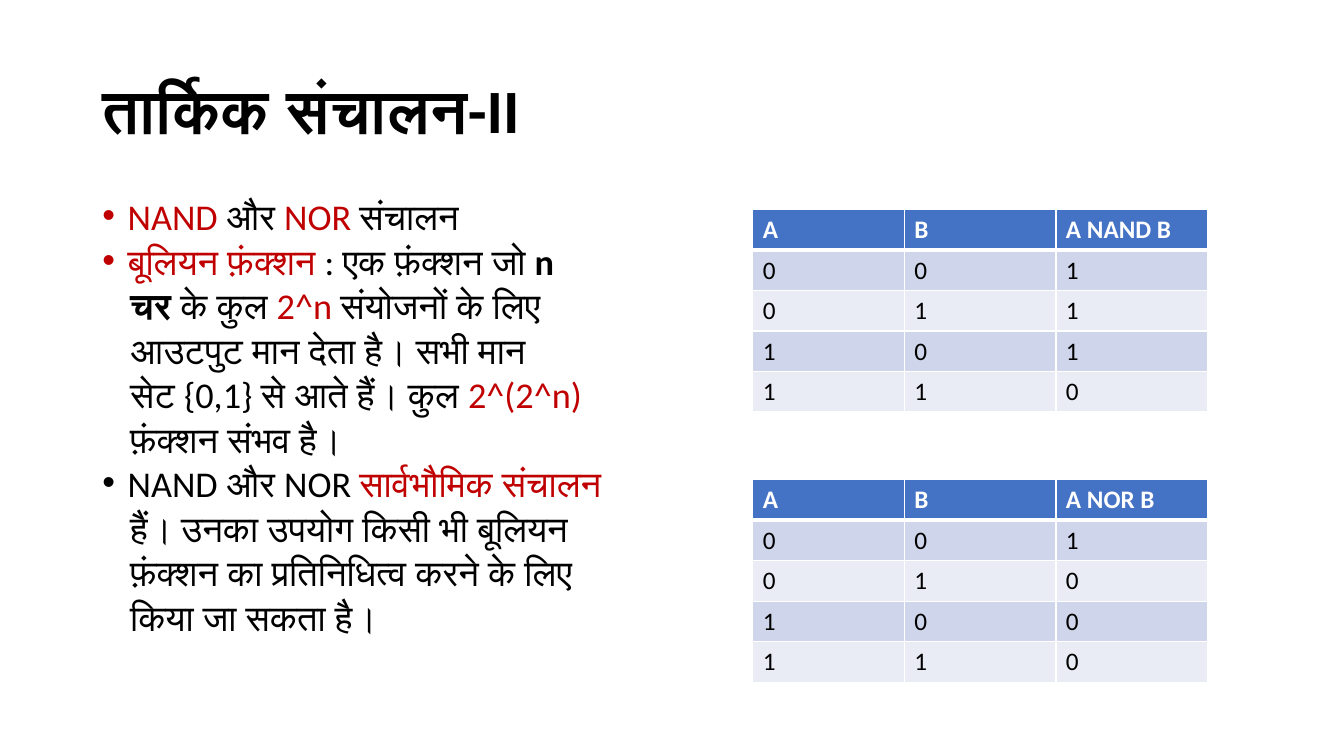
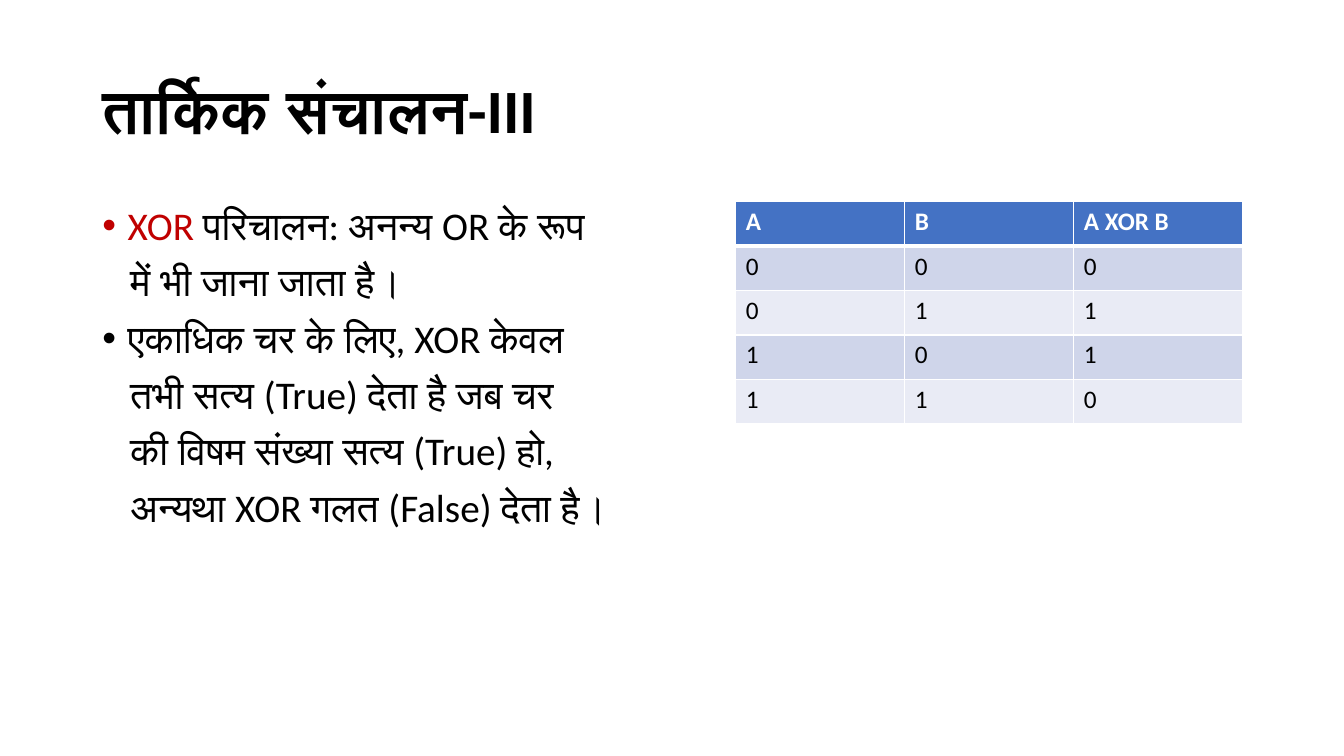
from itertools import product

from lxml import etree
from pptx import Presentation
from pptx.dml.color import RGBColor
from pptx.enum.text import MSO_ANCHOR
from pptx.oxml.ns import qn
from pptx.util import Cm, Pt

MIDDLE = MSO_ANCHOR.MIDDLE
TOP = MSO_ANCHOR.TOP

FONT = "Calibri"
BLACK, WHITE, RED = "000000", "FFFFFF", "C00000"
HEADER_BLUE = "4472C4"
BAND_FILLS = ("CFD5EA", "E9EBF5")
INPUTS = list(product("01", repeat=2))


def color(value):
    return RGBColor.from_string(value)


def red(text):
    return text, RED, False


def bold(text):
    return text, BLACK, True


def plain(text):
    return text, BLACK, False


def add_border(cell, side, width):
    line = etree.SubElement(cell._tc.get_or_add_tcPr(), qn(f"a:ln{side}"), w=str(Pt(width)))
    fill = etree.SubElement(line, qn("a:solidFill"))
    etree.SubElement(fill, qn("a:srgbClr"), val=WHITE)


def set_indent(paragraph, bulleted):
    """Hang a bullet, or align a continuation line under the bullet text."""
    properties = paragraph._p.get_or_add_pPr()
    properties.set("marL", str(Cm(0.64 if bulleted else 0.7)))
    properties.set("indent", str(Cm(-0.64 if bulleted else 0)))
    if bulleted:
        etree.SubElement(properties, qn("a:buFont"), typeface="Arial")
        etree.SubElement(properties, qn("a:buChar"), char="•")


class Deck:
    """Shared style of the slides, and the slide being filled."""

    left, width = Cm(2.33), Cm(29.21)

    def __init__(self):
        self.presentation = Presentation()
        self.presentation.slide_width = Cm(33.87)
        self.presentation.slide_height = Cm(19.05)
        self.slide = None

    def add_slide(self, title):
        layout = self.presentation.slide_layouts[6]
        self.slide = self.presentation.slides.add_slide(layout)
        text_frame = self.add_text_box(Cm(1.01), Cm(3.68), MIDDLE)
        text_frame.text = title
        paragraph = text_frame.paragraphs[0]
        paragraph.line_spacing = 0.9
        self.format_run(paragraph.runs[0], 44, BLACK, True)

    def add_text_box(self, top, height, anchor):
        shape = self.slide.shapes.add_textbox(self.left, top, self.width, height)
        shape.text_frame.word_wrap = True
        shape.text_frame.vertical_anchor = anchor
        return shape.text_frame

    def format_run(self, run, size, text_color, is_bold):
        run.font.name = FONT
        run.font.size = Pt(size)
        run.font.bold = is_bold
        run.font.color.rgb = color(text_color)

    def add_points(self, points, size, line_spacing):
        """Write points, each a list of lines made of styled pieces."""
        text_frame = self.add_text_box(Cm(5.08), Cm(12.09), TOP)
        lines = [(index == 0, line) for point in points for index, line in enumerate(point)]
        for number, (bulleted, pieces) in enumerate(lines):
            paragraph = text_frame.add_paragraph() if number else text_frame.paragraphs[0]
            set_indent(paragraph, bulleted)
            paragraph.line_spacing = line_spacing
            paragraph.space_before = Pt(10 if number else 0)
            for text, text_color, is_bold in pieces:
                run = paragraph.add_run()
                run.text = text
                self.format_run(run, size, text_color, is_bold)

    def add_truth_table(self, operator, outputs, left, top, column_width, row_height):
        rows = [("A", "B", f"A {operator} B")]
        rows += [(*inputs, output) for inputs, output in zip(INPUTS, outputs)]
        table = self.slide.shapes.add_table(
            len(rows), 3, Cm(left), Cm(top), Cm(3 * column_width), Cm(row_height * len(rows))
        ).table
        for column in table.columns:
            column.width = Cm(column_width)
        for row_index, values in enumerate(rows):
            table.rows[row_index].height = Cm(row_height)
            for column_index, value in enumerate(values):
                self.fill_cell(table.cell(row_index, column_index), value, row_index)

    def fill_cell(self, cell, value, row_index):
        is_header = row_index == 0
        add_border(cell, "L", 1)
        add_border(cell, "R", 1)
        add_border(cell, "T", 3 if row_index == 1 else 1)
        add_border(cell, "B", 3 if is_header else 1)
        cell.fill.solid()
        cell.fill.fore_color.rgb = color(HEADER_BLUE if is_header else BAND_FILLS[(row_index - 1) % 2])
        cell.text_frame.text = value
        run = cell.text_frame.paragraphs[0].runs[0]
        self.format_run(run, 18, WHITE if is_header else BLACK, is_header)


def add_nand_nor_slide(deck):
    deck.add_slide("तार्किक संचालन-II")
    deck.add_points([
        [[red("NAND "), plain("और "), red("NOR "), plain("संचालन")]],
        [
            [red("बूलियन फ़ंक्शन "), plain(": एक फ़ंक्शन जो "), bold("n")],
            [bold("चर"), plain(" के कुल "), red("2^n "), plain("संयोजनों के लिए")],
            [plain("आउटपुट मान देता है। सभी मान")],
            [plain("सेट {0,1} से आते हैं। कुल "), red("2^(2^n)")],
            [plain("फ़ंक्शन संभव है।")],
        ],
        [
            [plain("NAND और NOR "), red("सार्वभौमिक संचालन")],
            [plain("हैं। उनका उपयोग किसी भी बूलियन")],
            [plain("फ़ंक्शन का प्रतिनिधित्व करने के लिए")],
            [plain("किया जा सकता है।")],
        ],
    ], size=25.9, line_spacing=0.7)
    for operator, outputs, top in (("NAND", "1110", 5.28), ("NOR", "1000", 12.09)):
        deck.add_truth_table(operator, outputs, 18.97, top, column_width=3.82, row_height=1.02)


def add_xor_slide(deck):
    deck.add_slide("तार्किक संचालन-III")
    deck.add_points([
        [
            [red("XOR "), plain("परिचालन: अनन्य OR के रूप")],
            [plain("में भी जाना जाता है।")],
        ],
        [
            [plain("एकाधिक चर के लिए, XOR केवल")],
            [plain("तभी सत्य (True) देता है जब चर")],
            [plain("की विषम संख्या सत्य (True) हो,")],
            [plain("अन्यथा XOR गलत (False) देता है।")],
        ],
    ], size=28, line_spacing=0.9)
    deck.add_truth_table("XOR", "0110", 18.54, 5.08, column_width=4.26, row_height=1.12)


def main():
    deck = Deck()
    add_nand_nor_slide(deck)
    add_xor_slide(deck)
    deck.presentation.save("out.pptx")


if __name__ == "__main__":
    main()
